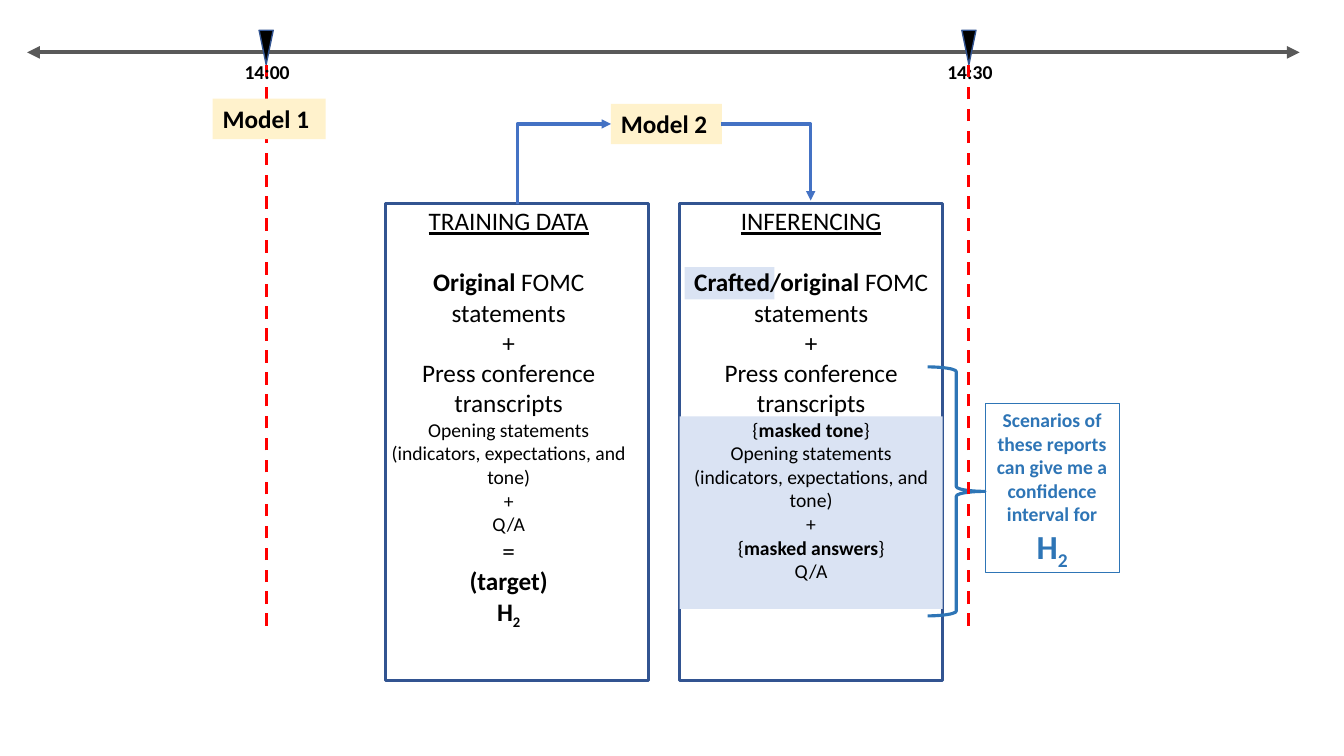
from lxml.etree import SubElement
from pptx import Presentation
from pptx.dml.color import RGBColor
from pptx.enum.dml import MSO_LINE
from pptx.enum.shapes import MSO_CONNECTOR as Connector, MSO_SHAPE as Shape
from pptx.enum.text import MSO_ANCHOR as Anchor, PP_ALIGN as Align
from pptx.oxml.ns import qn
from pptx.util import Inches, Pt

COLORS = {
    "black": "000000", "red": "FF0000", "axis": "595959", "cream": "FFF2CC",
    "pale": "DAE3F3", "navy": "325491", "arrow": "4472C4", "blue": "2E75B6",
}
FONT = "Calibri"


def color(name):
    return RGBColor.from_string(COLORS[name])


class Diagram:
    """Draws styled elements on one slide."""

    def __init__(self, slide):
        self.shapes = slide.shapes

    def shape(self, kind, box, fill=None, line=None, width=1.0, rotation=0):
        shape = self.shapes.add_shape(kind, *map(Inches, box))
        shape.shadow.inherit = False
        shape.rotation = rotation
        if fill:
            shape.fill.solid()
            shape.fill.fore_color.rgb = color(fill)
        else:
            shape.fill.background()
        if line:
            shape.line.color.rgb = color(line)
            shape.line.width = Pt(width)
        else:
            shape.line.fill.background()
        return shape

    def label(self, shape, paragraphs, ink="black", align=Align.CENTER, wrap=True):
        """Each paragraph is a list of (text, size, style); style letters: b, u, s (subscript)."""
        frame = shape.text_frame
        frame.word_wrap = wrap
        frame.vertical_anchor = Anchor.TOP
        for index, pieces in enumerate(paragraphs):
            paragraph = frame.add_paragraph() if index else frame.paragraphs[0]
            paragraph.alignment = align
            for text, size, style in pieces:
                run = paragraph.add_run()
                run.text = text
                font = run.font
                font.name, font.size = FONT, Pt(size)
                font.bold, font.underline = "b" in style, "u" in style
                font.color.rgb = color(ink)
                if "s" in style:
                    run._r.get_or_add_rPr().set("baseline", "-25000")
        return frame

    def text(self, box, paragraphs, **options):
        return self.label(self.shapes.add_textbox(*map(Inches, box)), paragraphs, **options)

    def line(self, begin, end, ink, width, kind=Connector.STRAIGHT, dash=None, heads=()):
        connector = self.shapes.add_connector(kind, *map(Inches, (*begin, *end)))
        connector.line.color.rgb = color(ink)
        connector.line.width = Pt(width)
        if dash:
            connector.line.dash_style = dash
        properties = connector._element.spPr
        for head in heads:
            SubElement(properties.find(qn("a:ln")), qn(f"a:{head}"), type="triangle")
        SubElement(properties, qn("a:effectLst"))
        return connector

    def elbow(self, begin, end, rising=False):
        """One-bend arrow; a rising one goes up first and then right."""
        if rising:
            # Quarter turn about the centre swaps the two extents
            middle_x, middle_y = ((a + b) / 2 for a, b in zip(begin, end))
            half_width, half_height = abs(end[1] - begin[1]) / 2, abs(end[0] - begin[0]) / 2
            begin = (middle_x + half_width, middle_y + half_height)
            end = (middle_x - half_width, middle_y - half_height)
        connector = self.line(begin, end, "arrow", 2.25, Connector.ELBOW, heads=["tailEnd"])
        properties = connector._element.spPr
        properties.find(qn("a:prstGeom")).set("prst", "bentConnector2")
        if rising:
            properties.find(qn("a:xfrm")).set("rot", "5400000")

    def time_limit(self, x, top):
        self.line((x, 6.21), (x, top), "red", 2.25, dash=MSO_LINE.DASH)

    def model(self, box, name):
        self.label(self.shape(Shape.RECTANGLE, box, "cream"), [[(name, 18, "b")]], align=Align.LEFT)

    def column(self, box, paragraphs):
        frame = self.text(box, paragraphs)
        frame.paragraphs[0].space_after = Pt(22)


def main():
    presentation = Presentation()
    presentation.slide_width, presentation.slide_height = Inches(13.33), Inches(7.5)
    diagram = Diagram(presentation.slides.add_slide(presentation.slide_layouts[6]))

    # Frames, highlights and model labels
    diagram.time_limit(2.64, 0.64)
    diagram.shape(Shape.RECTANGLE, (6.79, 2.65, 0.89, 0.32), "pale")
    for left in (3.82, 6.74):
        diagram.shape(Shape.RECTANGLE, (left, 2.02, 2.61, 4.73), line="navy", width=2.25)
    diagram.shape(Shape.RECTANGLE, (6.74, 4.13, 2.61, 1.91), "pale")
    diagram.model((2.11, 0.98, 1.12, 0.4), "Model 1")
    diagram.model((6.06, 1.03, 1.1, 0.4), "Model 2")

    # Timeline
    diagram.line((0.27, 0.52), (12.89, 0.52), "axis", 3, heads=["headEnd", "tailEnd"])
    for x, time in ((2.64, "14:00"), (9.61, "14:30")):
        diagram.text((x - 0.32, 0.55, 0.66, 0.34), [[(time, 14, "b")]], wrap=False)
        diagram.shape(Shape.ISOSCELES_TRIANGLE, (x - 0.07, 0.3, 0.14, 0.34), "black", "navy", 1, 180)

    # Column texts
    plus = [("+", 18, "")]
    transcripts = [("Press conference transcripts", 18, "")]
    opening = [("Opening statements (indicators, expectations, and tone)", 14, "")]
    small_plus = [("+", 14, "")]
    answers = [("Q/A", 14, "")]

    def masked(part):
        return [("{", 14, ""), (f"masked {part}", 14, "b"), ("}", 14, "")]

    diagram.column((3.74, 1.99, 2.61, 4.31), [
        [("TRAINING DATA", 18, "u")],
        [("Original", 18, "b"), (" FOMC statements", 18, "")],
        plus, transcripts, opening, small_plus, answers,
        [("=", 18, "")],
        [("(target)", 18, "b")],
        [("H", 18, "b"), ("2", 18, "bs")],
    ])
    diagram.column((6.74, 1.99, 2.61, 3.87), [
        [("INFERENCING", 18, "u")],
        [("Crafted/original", 18, "b"), (" FOMC statements", 18, "")],
        plus, transcripts, masked("tone"), opening, small_plus, masked("answers"), answers,
    ])

    # Scenario note
    diagram.shape(Shape.RIGHT_BRACE, (9.2, 3.64, 0.57, 2.47), line="blue", width=2.25)
    note = diagram.shape(Shape.RECTANGLE, (9.77, 4, 1.33, 1.68), line="blue", width=0.75)
    diagram.label(note, [[
        ("Scenarios of these reports can give me a confidence interval for ", 14, "b"),
        ("H", 24, "b"), ("2", 24, "bs"),
    ]], ink="blue")

    # Flow through model 2
    diagram.elbow((5.13, 2.02), (6.06, 1.23), rising=True)
    diagram.time_limit(9.61, 0.55)
    diagram.elbow((7.15, 1.23), (8.04, 1.99))

    presentation.save("out.pptx")


if __name__ == "__main__":
    main()
